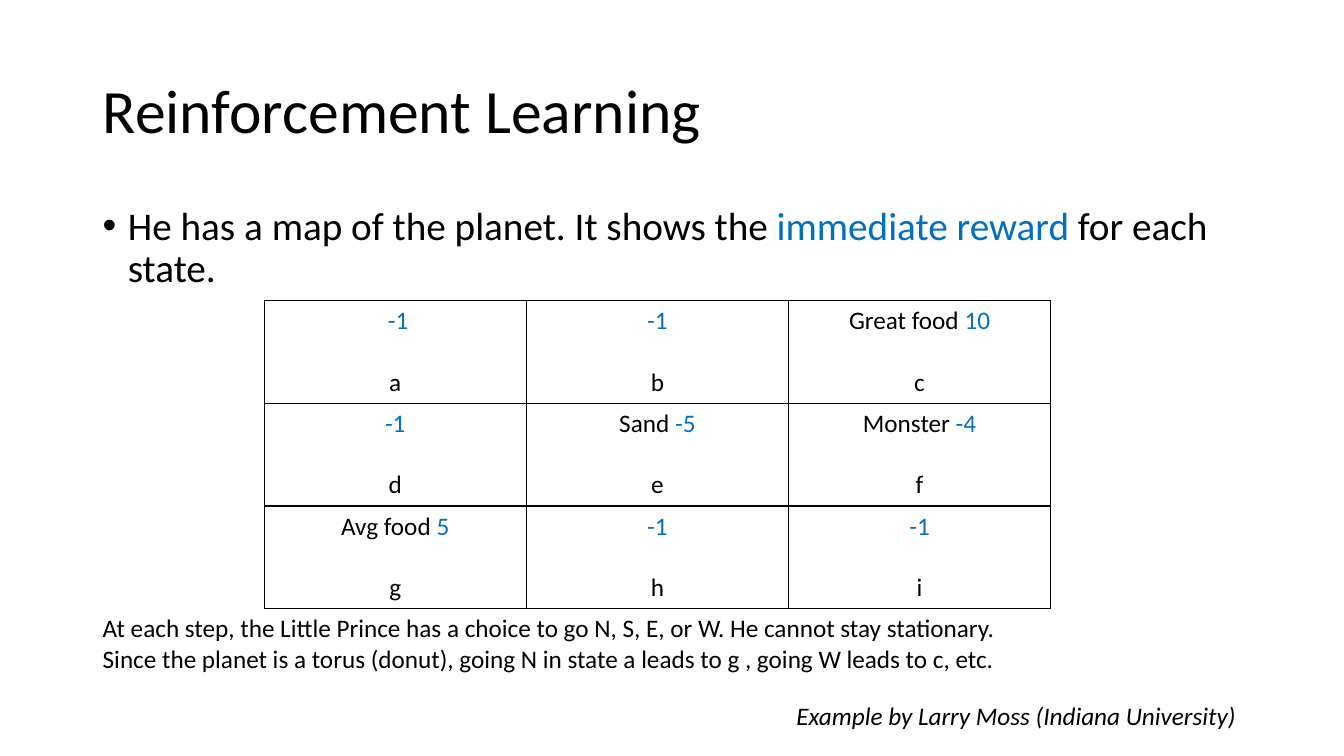
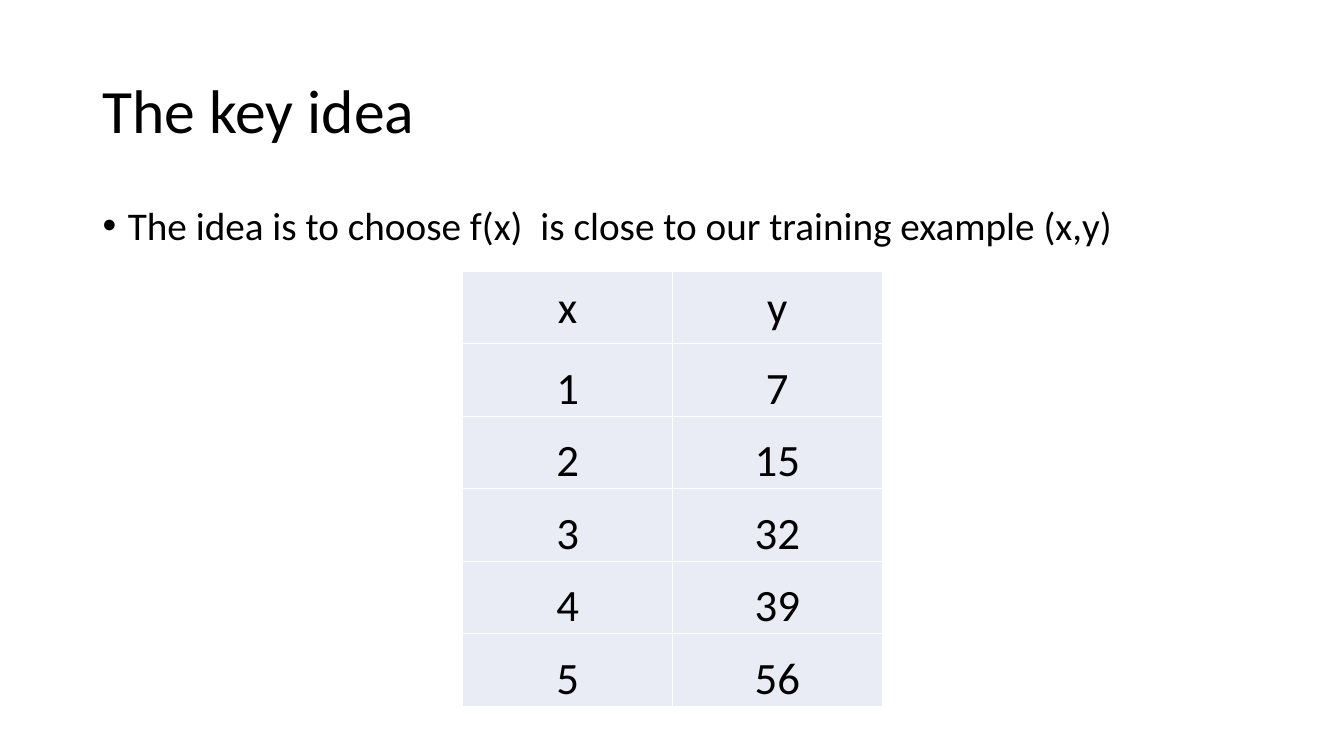
from lxml import etree
from pptx import Presentation
from pptx.dml.color import RGBColor
from pptx.enum.text import MSO_ANCHOR, PP_ALIGN
from pptx.oxml.ns import qn
from pptx.util import Inches, Pt

TOP, MIDDLE, BOTTOM = MSO_ANCHOR.TOP, MSO_ANCHOR.MIDDLE, MSO_ANCHOR.BOTTOM
LEFT, CENTER = PP_ALIGN.LEFT, PP_ALIGN.CENTER

FONT = "Calibri"
COLORS = {"text": "000000", "reward": "0070C0", "cell": "E9EBF5", "white": "FFFFFF"}
MARGIN, CONTENT_WIDTH = 0.92, 11.5

MAP_TITLE = "Reinforcement Learning"
MAP_BULLET = [
    ("He has a map of the planet. It shows the ", "text"),
    ("immediate reward ", "reward"),
    ("for each state.", "text"),
]
PLANET_MAP = [
    [("", " -1", "a"), ("", "-1", "b"), ("Great food ", "10", "c")],
    [("", "-1", "d"), ("Sand ", "-5", "e"), ("Monster ", "-4", "f")],
    [("Avg food ", "5", "g"), ("", "-1", "h"), ("", "-1", "i")],
]
MAP_RULES = [
    "At each step, the Little Prince has a choice to go N, S, E, or W. He cannot stay stationary.",
    "Since the planet is a torus (donut), going N in state a leads to g , going W leads to c, etc.",
]
CREDIT = "Example by Larry Moss (Indiana University)"

IDEA_TITLE = "The key idea"
IDEA_BULLET = [("The idea is to choose f(x)  is close to our training example (x,y)", "text")]
TRAINING_EXAMPLES = [("x", "y"), (1, 7), (2, 15), (3, 32), (4, 39), (5, 56)]


def rgb(name):
    return RGBColor.from_string(COLORS[name])


def write(paragraph, runs, size, align=LEFT, italic=False):
    paragraph.alignment = align
    paragraph.font.name = FONT
    paragraph.font.size = Pt(size)
    paragraph.font.italic = italic
    paragraph.font.color.rgb = rgb("text")
    for text, color in runs:
        if text:
            run = paragraph.add_run()
            run.text = text
            run.font.color.rgb = rgb(color)


def add_text(slide, box, lines, size, anchor=TOP, italic=False):
    frame = slide.shapes.add_textbox(*map(Inches, box)).text_frame
    frame.word_wrap = True
    frame.vertical_anchor = anchor
    for index, runs in enumerate(lines):
        paragraph = frame.add_paragraph() if index else frame.paragraphs[0]
        write(paragraph, runs, size, italic=italic)
    return frame.paragraphs[0]


def add_bullet(paragraph):
    properties = paragraph._p.get_or_add_pPr()
    properties.set("marL", str(Inches(0.25)))
    properties.set("indent", str(-Inches(0.25)))
    etree.SubElement(properties, qn("a:buFont"), typeface="Arial")
    etree.SubElement(properties, qn("a:buChar"), char="•")


def start_slide(deck, title, bullet):
    slide = deck.slides.add_slide(deck.slide_layouts[6])
    heading = add_text(slide, (MARGIN, 0.4, CONTENT_WIDTH, 1.45),
                       [[(title, "text")]], 44, MIDDLE)
    heading.line_spacing = 0.9
    point = add_text(slide, (MARGIN, 2, CONTENT_WIDTH, 0.95), [bullet], 28)
    point.line_spacing = 0.9
    point.space_before = Pt(10)
    add_bullet(point)
    return slide


def add_borders(cell, color):
    properties = cell._tc.get_or_add_tcPr()
    for index, side in enumerate(("a:lnL", "a:lnR", "a:lnT", "a:lnB")):
        line = etree.Element(qn(side), w=str(Pt(1)))
        fill = etree.SubElement(line, qn("a:solidFill"))
        etree.SubElement(fill, qn("a:srgbClr"), val=COLORS[color])
        properties.insert(index, line)


def add_grid(slide, rows, left, top, column_width, row_height, border, fill, fill_cell):
    columns = len(rows[0])
    table = slide.shapes.add_table(
        len(rows), columns, Inches(left), Inches(top),
        Inches(column_width * columns), Inches(row_height * len(rows))).table
    table.first_row = table.horz_banding = False
    for column in table.columns:
        column.width = Inches(column_width)
    for r, values in enumerate(rows):
        table.rows[r].height = Inches(row_height)
        for c, value in enumerate(values):
            cell = table.cell(r, c)
            add_borders(cell, border)
            cell.fill.solid()
            cell.fill.fore_color.rgb = rgb(fill)
            fill_cell(cell, value, r)


def fill_state(cell, state, row):
    place, reward, letter = state
    cell.vertical_anchor = MIDDLE
    write(cell.text_frame.paragraphs[0], [(place, "text"), (reward, "reward")], 18, CENTER)
    label = cell.text_frame.add_paragraph()
    write(label, [(letter, "text")], 18, CENTER)
    label.space_before = Pt(22)


def fill_example(cell, value, row):
    cell.vertical_anchor = BOTTOM if row else MIDDLE
    cell.margin_left = cell.margin_right = cell.margin_top = Inches(0.01)
    cell.margin_bottom = 0
    write(cell.text_frame.paragraphs[0], [(str(value), "text")], 32, CENTER)


def build_map_slide(deck):
    slide = start_slide(deck, MAP_TITLE, MAP_BULLET)
    add_grid(slide, PLANET_MAP, 2.62, 2.98, 2.6, 1.02, "text", "white", fill_state)
    add_text(slide, (MARGIN, 6.03, 11.42, 0.7), [[(rule, "text")] for rule in MAP_RULES], 18)
    add_text(slide, (7.8, 6.9, 4.62, 0.4), [[(CREDIT, "text")]], 18, italic=True)


def build_idea_slide(deck):
    slide = start_slide(deck, IDEA_TITLE, IDEA_BULLET)
    add_grid(slide, TRAINING_EXAMPLES, 4.59, 2.69, 2.08, 0.72, "white", "cell", fill_example)


def main():
    deck = Presentation()
    deck.slide_width, deck.slide_height = Inches(13.33), Inches(7.5)
    build_map_slide(deck)
    build_idea_slide(deck)
    deck.save("out.pptx")


if __name__ == "__main__":
    main()
